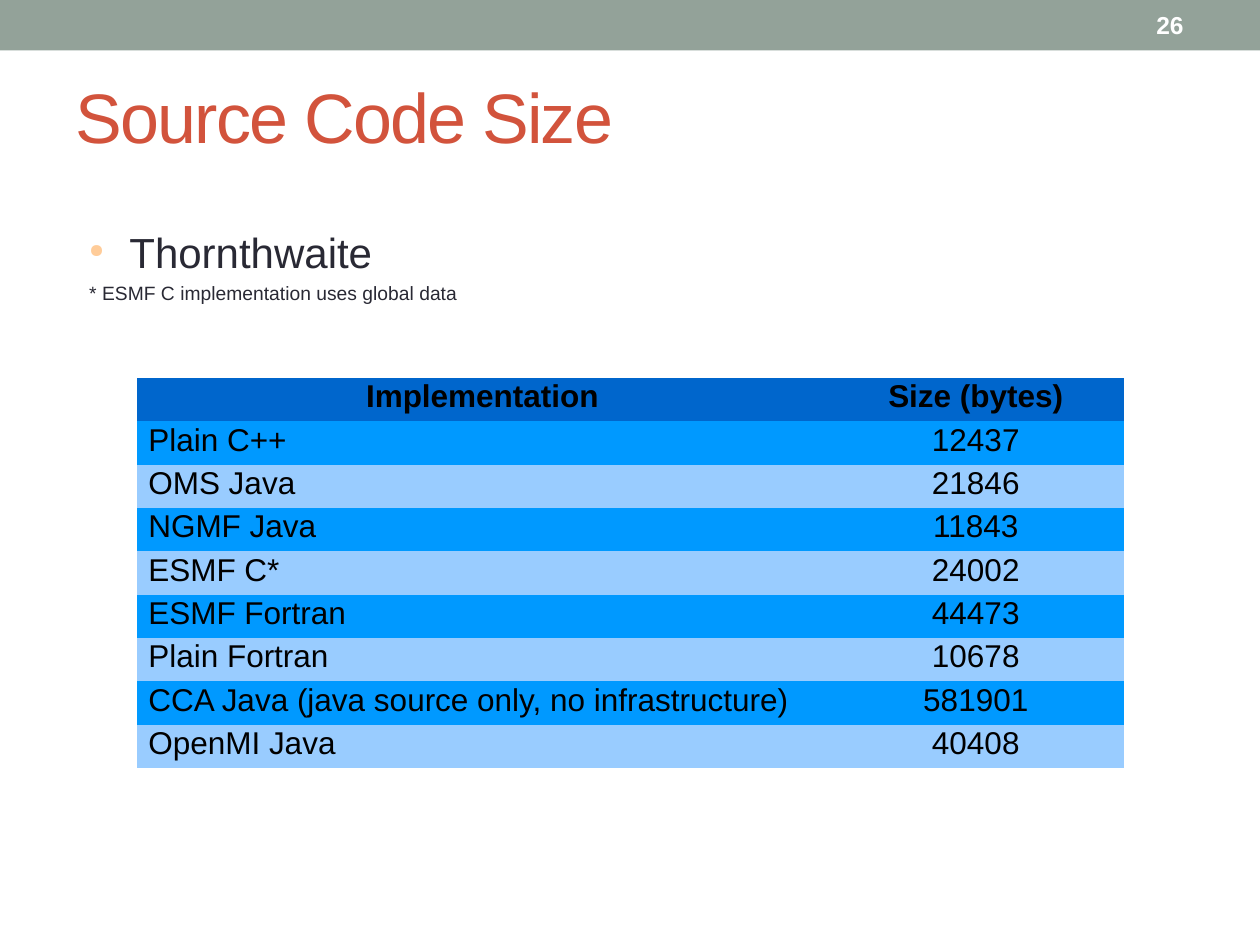
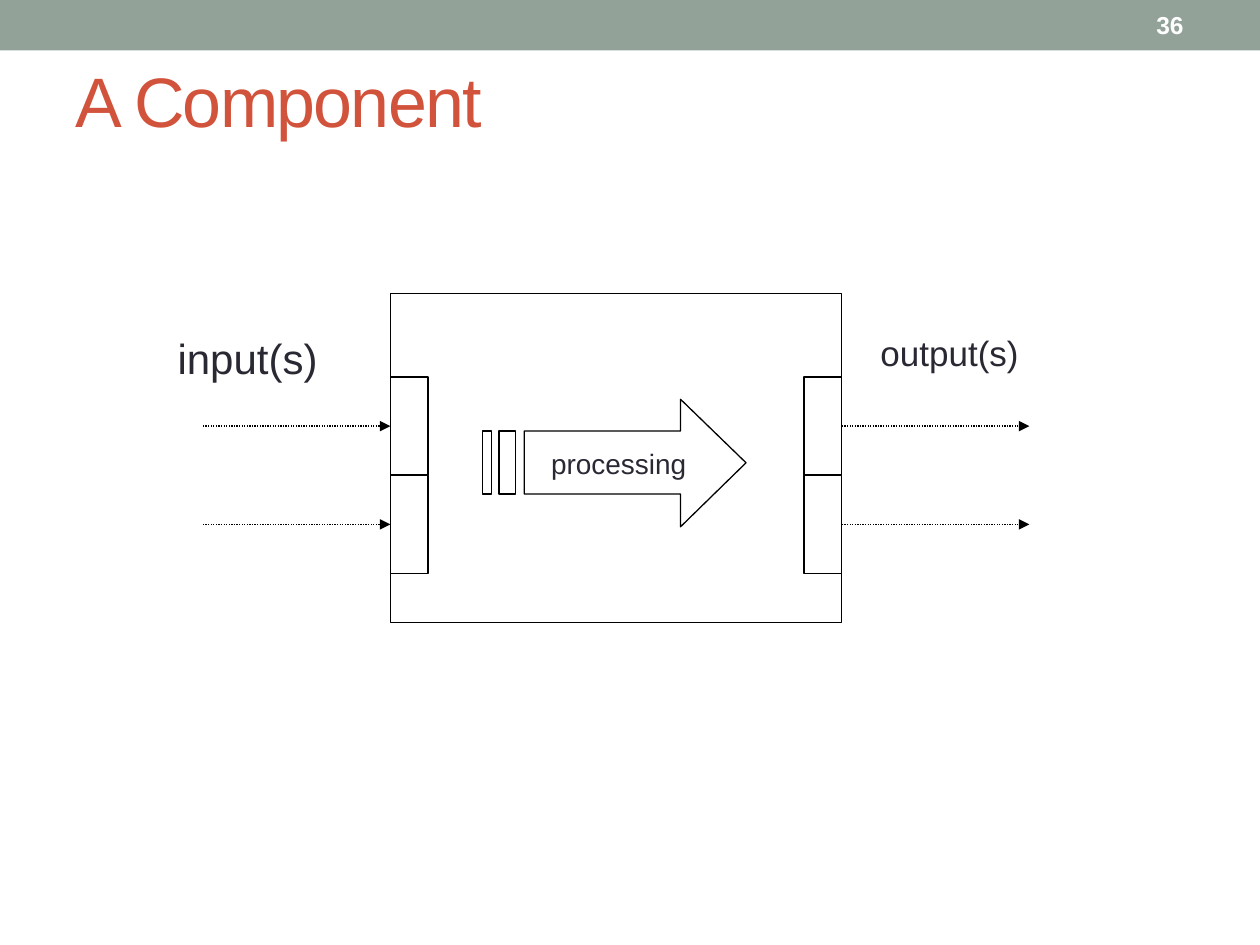
from lxml import etree
from pptx import Presentation
from pptx.dml.color import RGBColor
from pptx.enum.dml import MSO_LINE
from pptx.enum.shapes import MSO_CONNECTOR, MSO_SHAPE
from pptx.enum.text import MSO_ANCHOR, PP_ALIGN
from pptx.oxml.ns import qn
from pptx.util import Cm, Pt

RECT = MSO_SHAPE.RECTANGLE
STRAIGHT = MSO_CONNECTOR.STRAIGHT
DOTS = MSO_LINE.ROUND_DOT
TOP, MIDDLE = MSO_ANCHOR.TOP, MSO_ANCHOR.MIDDLE
LEFT, CENTER = PP_ALIGN.LEFT, PP_ALIGN.CENTER
LEFT_SIDE, RIGHT_SIDE = 1, 3

SAGE = RGBColor(0x93, 0xA2, 0x99)
RUST = RGBColor(0xD2, 0x53, 0x3C)
INK = RGBColor(0x29, 0x29, 0x34)
BLACK = RGBColor(0, 0, 0)
WHITE = RGBColor(0xFF, 0xFF, 0xFF)
HEAD = RGBColor(0, 0x66, 0xCC)
BANDS = (RGBColor(0x99, 0xCC, 0xFF), RGBColor(0, 0x99, 0xFF))

FONT = "Arial"
NO_STYLE = "{2D5ABB26-0587-4C30-8999-92F81FD0307C}"
HAIR = Pt(0.75)

# Text formats
TITLE = {"size": Pt(40), "color": RUST}
NUMBER = {"size": Pt(14), "color": WHITE, "bold": True}
BODY = {"size": Pt(24), "color": INK}
NOTE = {"size": Pt(11), "color": INK}
LABEL = {"size": Pt(20), "color": INK}
STEP = {"size": Pt(16), "color": INK}
CELL = {"size": Pt(18), "color": BLACK, "bold": False}
HEADER = {**CELL, "bold": True}

SIZES = [
    ("Implementation", "Size (bytes)"),
    ("Plain C++", "12437"),
    ("OMS Java", "21846"),
    ("NGMF Java", "11843"),
    ("ESMF C*", "24002"),
    ("ESMF Fortran", "44473"),
    ("Plain Fortran", "10678"),
    ("CCA Java (java source only, no infrastructure)", "581901"),
    ("OpenMI Java", "40408"),
]


def write(para, text, form):
    run = para.add_run()
    run.text = text
    run.font.name = FONT
    for key, val in form.items():
        if key == "color":
            run.font.color.rgb = val
        else:
            setattr(run.font, key, val)
    return run


def add_text(slide, box, text, form, anchor=TOP):
    shape = slide.shapes.add_textbox(*map(Cm, box))
    frame = shape.text_frame
    frame.word_wrap = True
    frame.vertical_anchor = anchor
    run = write(frame.paragraphs[0], text, form)
    return frame, run


def paint(shape, fill, line=None):
    shape.shadow.inherit = False
    shape.fill.solid()
    shape.fill.fore_color.rgb = fill
    if line is None:
        shape.line.fill.background()
    else:
        shape.line.color.rgb = line
        shape.line.width = HAIR


def add_rect(slide, box, fill=WHITE, line=BLACK):
    shape = slide.shapes.add_shape(RECT, *map(Cm, box))
    paint(shape, fill, line)
    return shape


def add_flow(slide, start, end, y):
    """Dotted arrow pointing right."""
    link = slide.shapes.add_connector(STRAIGHT, Cm(start), Cm(y), Cm(end), Cm(y))
    link.line.color.rgb = BLACK
    link.line.width = HAIR
    link.line.dash_style = DOTS
    line = link.line._get_or_add_ln()
    etree.SubElement(line, qn("a:tailEnd"), type="triangle")
    etree.SubElement(link._element.spPr, qn("a:effectLst"))
    return link


def add_bullet(para, color, size, mark):
    props = para._p.get_or_add_pPr()
    tint = etree.SubElement(props, qn("a:buClr"))
    etree.SubElement(tint, qn("a:srgbClr"), val=color)
    etree.SubElement(props, qn("a:buSzPct"), val=str(size * 1000))
    etree.SubElement(props, qn("a:buChar"), char=mark)


def add_page(deck, title, top, height, number):
    """Blank slide with the band, the title and the slide number."""
    slide = deck.slides.add_slide(deck.slide_layouts[6])
    add_rect(slide, (0, 0, 25.4, 1.02), SAGE, None)
    run = add_text(slide, (1.27, top, 22.86, height), title, TITLE, MIDDLE)[1]
    run._r.get_or_add_rPr().set("spc", "-100")
    add_text(slide, (23.06, 0.05, 1.47, 0.91), number, NUMBER, MIDDLE)
    return slide


def add_sizes(slide):
    rows = len(SIZES)
    frame = slide.shapes.add_table(
        rows, 2, Cm(2.76), Cm(7.62), Cm(19.89), Cm(0.866 * rows))
    table = frame.table
    table._tbl.tblPr.find(qn("a:tableStyleId")).text = NO_STYLE
    for col, width in zip(table.columns, (13.93, 5.96)):
        col.width = Cm(width)
    pads = {"margin_left": Cm(0.23), "margin_right": Cm(0.23),
            "margin_top": Cm(0.08), "margin_bottom": Cm(0.13),
            "vertical_anchor": MIDDLE}
    for r, texts in enumerate(SIZES):
        for c, text in enumerate(texts):
            cell = table.cell(r, c)
            for key, val in pads.items():
                setattr(cell, key, val)
            cell.fill.solid()
            cell.fill.fore_color.rgb = BANDS[r % 2] if r else HEAD
            para = cell.text_frame.paragraphs[0]
            para.alignment = CENTER if c or not r else LEFT
            para.line_spacing = 0.87
            write(para, text, CELL if r else HEADER)


def add_step(slide):
    """Striped block arrow holding the processing label."""
    top, base, mid = 8.69, 9.96, 9.33
    parts = [[(13.72, 8.05), (13.72, top), (10.57, top), (10.57, base),
              (13.72, base), (13.72, 10.62), (15.04, mid)]]
    for x1, x2 in ((10.06, 10.39), (9.73, 9.91)):
        parts.append([(x1, top), (x1, base), (x2, base), (x2, top)])
    parts = [[(Cm(x), Cm(y)) for x, y in part] for part in parts]
    path = slide.shapes.build_freeform(*parts[0][0])
    for i, part in enumerate(parts):
        if i:
            path.move_to(*part[0])
        path.add_line_segments(part[1:], close=True)
    shape = path.convert_to_shape()
    paint(shape, WHITE, BLACK)
    frame = shape.text_frame
    frame.word_wrap = True
    frame.vertical_anchor = MIDDLE
    frame.margin_left, frame.margin_right = Cm(1.38), 0
    frame.paragraphs[0].alignment = LEFT
    write(frame.paragraphs[0], "processing", STEP)


def add_ports(slide, left, width):
    """Two ports on each side of the box, each with its arrow."""
    wide, high, reach = 0.76, 1.98, 3.78
    right = left + width
    for row in range(2):
        y = 7.6 + row * high
        mid = y + high / 2
        port = add_rect(slide, (left, y, wide, high))
        flow = add_flow(slide, left - reach, left, mid)
        flow.end_connect(port, LEFT_SIDE)
        port = add_rect(slide, (right - wide, y, wide, high))
        flow = add_flow(slide, right, right + reach, mid)
        flow.begin_connect(port, RIGHT_SIDE)


def make_sizes(deck):
    slide = add_page(deck, "Source Code Size", 0.86, 2.95, "26")
    frame = add_text(slide, (1.27, 4.45, 22.86, 12.34), "Thornthwaite", BODY)[0]
    write(frame.add_paragraph(), "* ESMF C implementation uses global data", NOTE)
    for para, gap in zip(frame.paragraphs, (4.8, 2.2)):
        para.space_before = Pt(gap)
        props = para._p.get_or_add_pPr()
        props.set("marL", str(Cm(1.09)))
        props.set("indent", str(-Cm(0.81)))
    add_bullet(frame.paragraphs[0], "FFCC99", 45, "●")
    add_sizes(slide)


def make_part(deck):
    slide = add_page(deck, "A Component", 0.84, 2.34, "36")
    left, width = 7.87, 9.1
    add_rect(slide, (left, 5.92, width, 6.63))
    add_ports(slide, left, width)
    add_text(slide, (3.33, 6.58, 4.55, 1.98), "input(s)", BODY)
    add_text(slide, (17.5, 6.55, 4.5, 1.27), "output(s)", LABEL)
    add_step(slide)


def main():
    deck = Presentation()
    deck.slide_width, deck.slide_height = Cm(25.4), Cm(19.05)
    make_sizes(deck)
    make_part(deck)
    deck.save("out.pptx")


if __name__ == "__main__":
    main()
